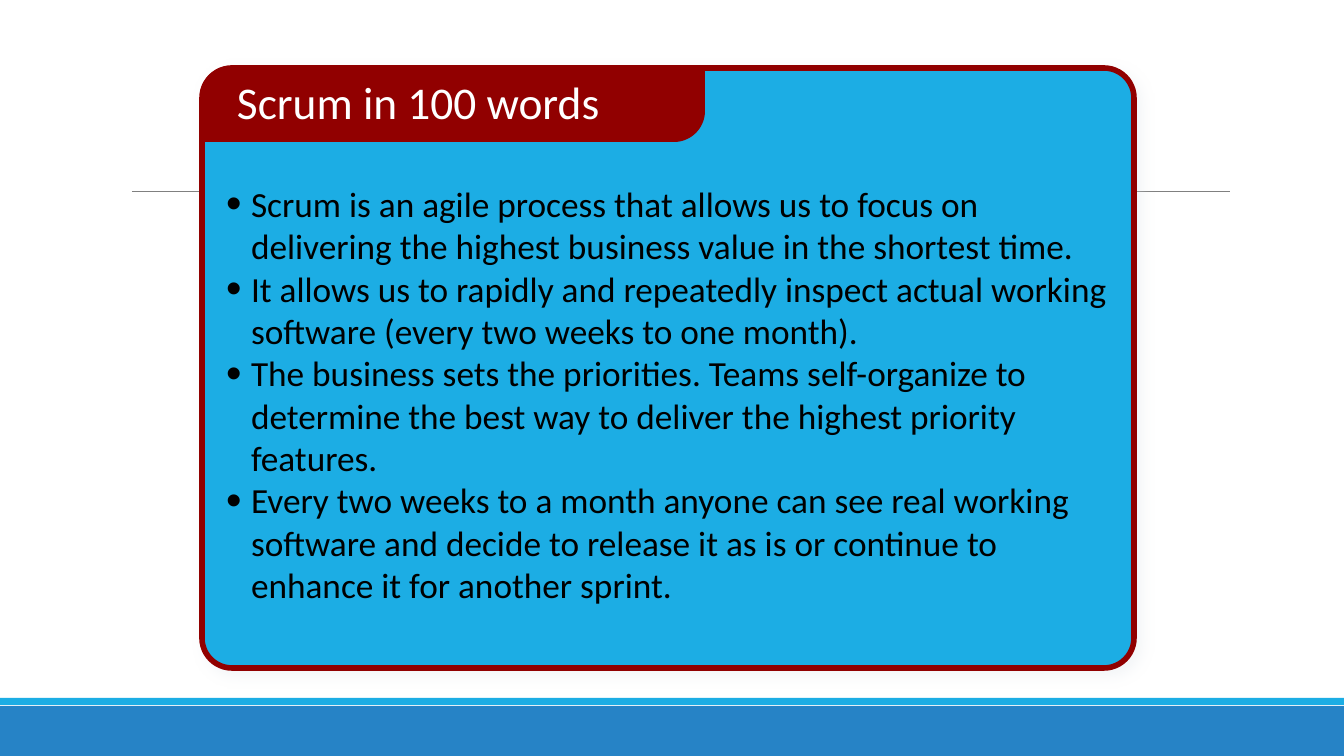
"""Build the slide that sums up Scrum on a tabbed card."""
import math

from lxml import etree
from pptx import Presentation
from pptx import util as u
from pptx.dml.color import RGBColor
from pptx.enum import shapes, text
from pptx.oxml import parse_xml
from pptx.oxml.ns import nsdecls, qn

EMU_PER_PX = 914400 / 100.8
FONT = "Calibri"
SKY, BLUE, MAROON = "1CADE4", "2683C6", "910000"
RECTANGLE = shapes.MSO_SHAPE.RECTANGLE
POINTS = [
    "Scrum is an agile process that allows us to focus on delivering the highest "
    "business value in the shortest time.",
    "It allows us to rapidly and repeatedly inspect actual working software "
    "(every two weeks to one month).",
    "The business sets the priorities. Teams self-organize to determine the best "
    "way to deliver the highest priority features.",
    "Every two weeks to a month anyone can see real working software and decide to "
    "release it as is or continue to enhance it for another sprint.",
]


def px(length):
    """Turn pixels into EMU."""
    return u.Emu(round(length * EMU_PER_PX))


def color(value):
    """Turn a hex string into a colour."""
    return RGBColor.from_string(value)


def paint(shape, fill):
    """Fill a shape and take away its outline and shadow."""
    shape.shadow.inherit = False
    shape.fill.solid()
    shape.fill.fore_color.rgb = color(fill)
    shape.line.fill.background()


def add_block(slide, kind, box, fill):
    """Add a filled preset shape."""
    shape = slide.shapes.add_shape(kind, *map(px, box))
    paint(shape, fill)
    return shape


def add_rule(slide, left, right, y):
    """Add the thin grey horizontal line."""
    rule = slide.shapes.add_connector(
        shapes.MSO_CONNECTOR.STRAIGHT, px(left), px(y), px(right), px(y))
    rule.line.color.rgb = color("808080")
    rule.line.width = u.Pt(0.5)
    etree.SubElement(rule.element.spPr, qn("a:effectLst"))


def add_card(slide, box):
    """Add the rounded card with its border and soft shadow."""
    card = add_block(slide, shapes.MSO_SHAPE.ROUNDED_RECTANGLE, box, SKY)
    card.adjustments[0] = 0.05
    card.line.color.rgb = color(MAROON)
    card.line.width = u.Pt(4)
    card.element.spPr.find(qn("a:effectLst")).append(parse_xml(
        f'<a:outerShdw {nsdecls("a")} blurRad="{u.Pt(9)}" dist="{u.Pt(5)}" dir="2700000">'
        '<a:srgbClr val="D9E0E6"><a:alpha val="30000"/></a:srgbClr></a:outerShdw>'))


def add_corner(slide, x, y, direction):
    """Add a corner piece rounded at (x, y), reaching inward along direction."""
    width, height, radius = 49, 46, 31
    angles = [math.radians(step * 5) for step in range(19)]
    arc = [(radius * (1 - math.cos(angle)), radius * (1 - math.sin(angle)))
           for angle in angles]
    outline = [(px(x + direction * across), px(y + direction * down))
               for across, down in arc + [(width, 0), (width, height), (0, height)]]
    builder = slide.shapes.build_freeform(*outline[0])
    builder.add_line_segments(outline[1:], close=True)
    paint(builder.convert_to_shape(), MAROON)


def add_tab(slide):
    """Add the title tab with two opposite rounded corners."""
    add_block(slide, RECTANGLE, (249, 69, 411, 73), MAROON)
    add_corner(slide, 705, 142, -1)
    add_corner(slide, 200, 66, 1)
    add_block(slide, RECTANGLE, (200, 111, 58, 31), MAROON)
    add_block(slide, RECTANGLE, (647, 68, 58, 33), MAROON)


def fill_placeholder(placeholder, box, lines, size, ink, inset=0):
    """Move a placeholder to the front and set its left-aligned text."""
    placeholder.element.getparent().append(placeholder.element)
    placeholder.left, placeholder.top, placeholder.width, placeholder.height = map(px, box)
    frame = placeholder.text_frame
    frame.text = "\n".join(lines)
    frame.word_wrap = True
    frame.auto_size = text.MSO_AUTO_SIZE.NONE
    frame.vertical_anchor = text.MSO_ANCHOR.MIDDLE
    frame.margin_left = frame.margin_right = px(inset)
    frame.margin_top = frame.margin_bottom = px(inset)
    for paragraph in frame.paragraphs:
        paragraph.alignment = text.PP_ALIGN.LEFT
        paragraph.space_before = u.Pt(0)
        paragraph.font.name = FONT
        paragraph.font.size = u.Pt(size)
        paragraph.font.color.rgb = color(ink)
    return frame


def add_bullets(frame, indent):
    """Give each paragraph a hanging, enlarged bullet."""
    for paragraph in frame.paragraphs:
        properties = paragraph._p.get_or_add_pPr()
        properties.set("marL", str(px(indent)))
        properties.set("indent", str(-px(indent)))
        marks = [("a:buSzPct", "val", "125000"), ("a:buFont", "typeface", "Arial"),
                 ("a:buChar", "char", "•")]
        position = properties.index(properties.find(qn("a:defRPr")))
        for offset, (tag, key, value) in enumerate(marks):
            mark = etree.Element(qn(tag))
            mark.set(key, value)
            properties.insert(position + offset, mark)


def main():
    """Build and save the slide."""
    presentation = Presentation()
    presentation.slide_width, presentation.slide_height = px(1344), px(756)
    slide = presentation.slides.add_slide(presentation.slide_layouts[1])
    title, body = slide.placeholders

    add_block(slide, RECTANGLE, (0, 706, 1344, 50), BLUE)
    add_block(slide, RECTANGLE, (0, 698, 1344, 7), SKY)
    add_rule(slide, 132, 1230, 191)
    add_card(slide, (202, 68, 932, 600))
    add_tab(slide)

    fill_placeholder(title, (232, 67, 432, 69), ["Scrum in 100 words"], 32.4, "FFFFFF", 5)
    points = fill_placeholder(body, (226, 145, 885, 498), POINTS, 25.2, "000000")
    add_bullets(points, 25)
    presentation.save("out.pptx")


if __name__ == "__main__":
    main()
